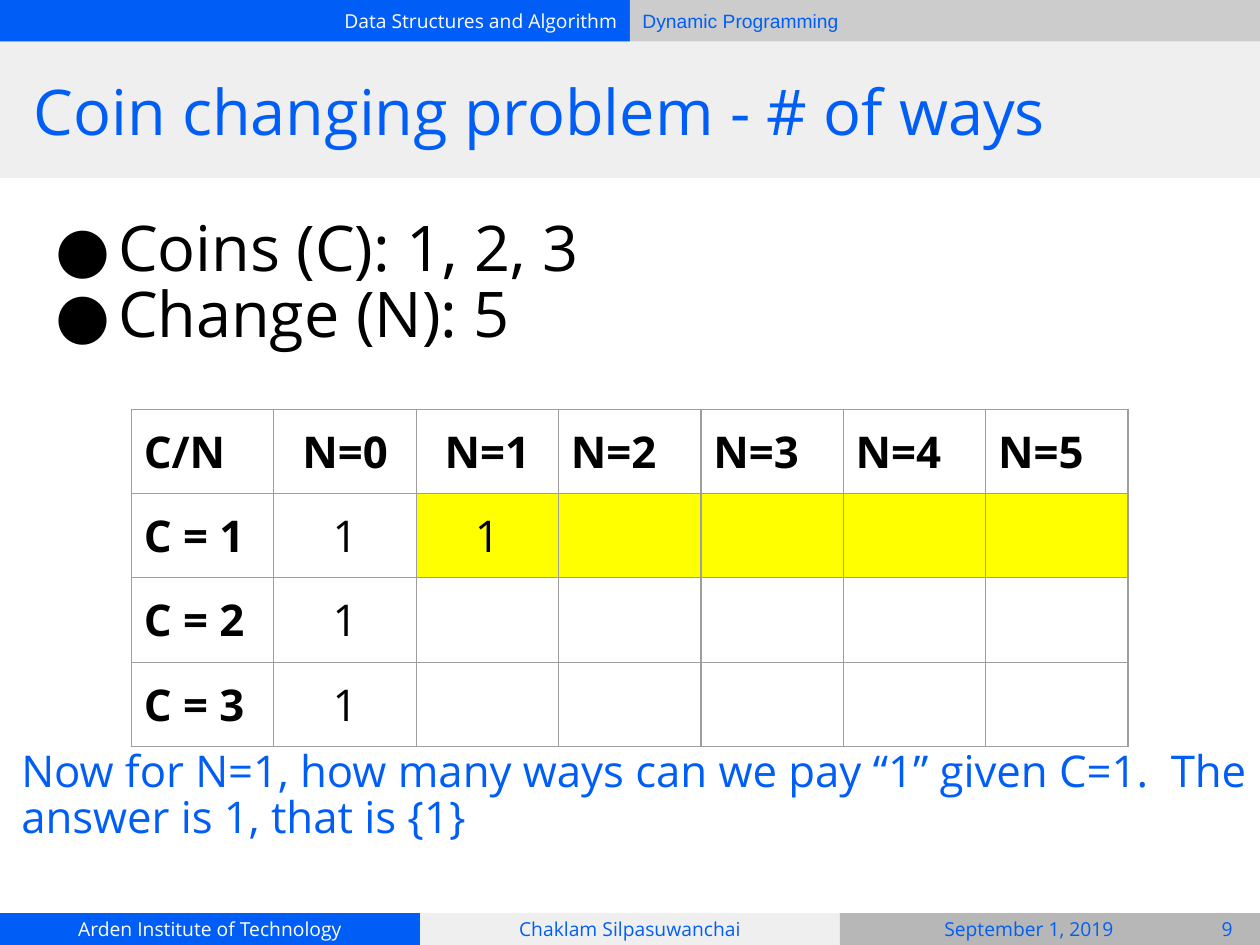
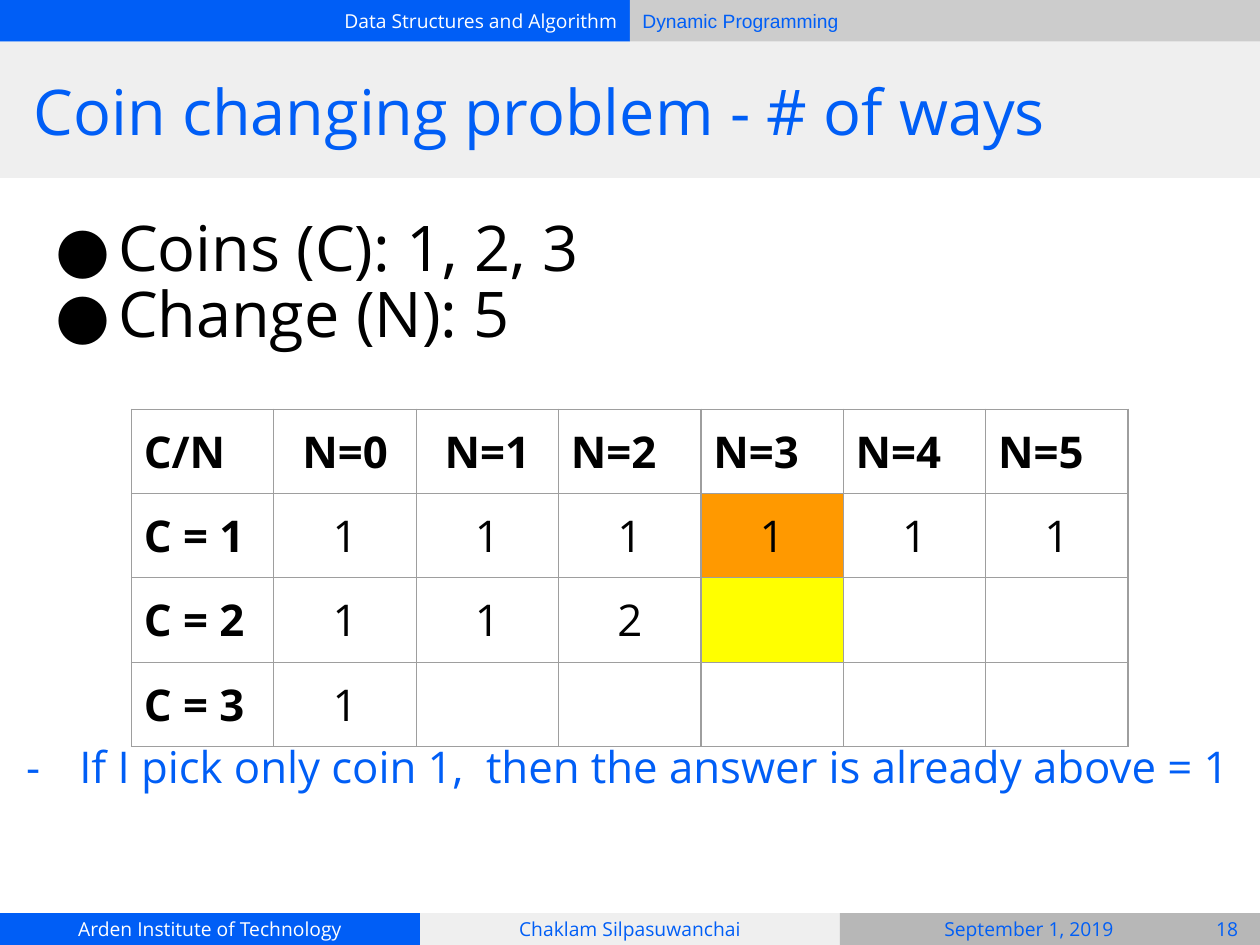
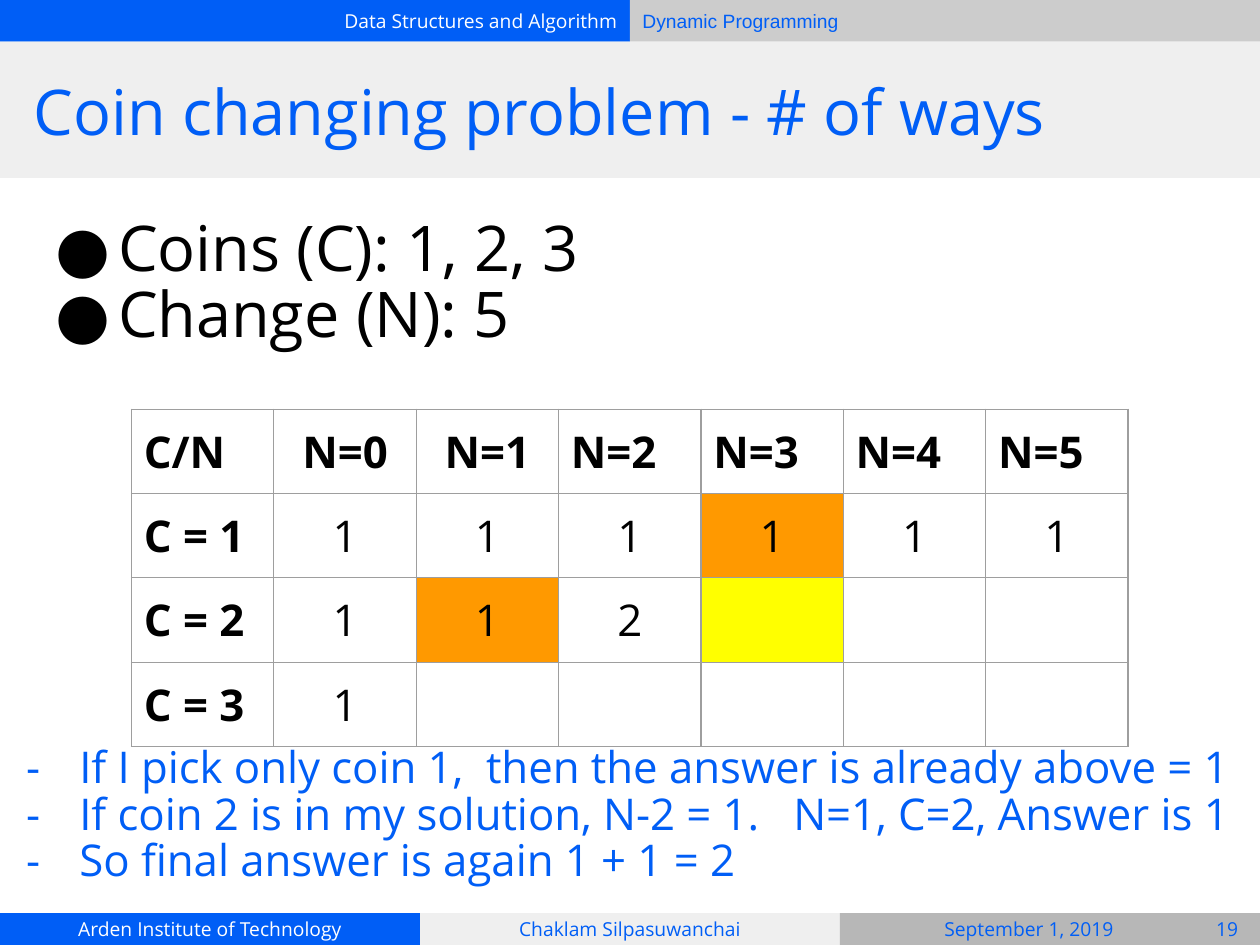
from lxml.etree import SubElement
from pptx import Presentation
from pptx.dml.color import RGBColor
from pptx.enum.shapes import MSO_SHAPE
from pptx.enum.text import MSO_ANCHOR, PP_ALIGN
from pptx.oxml.ns import qn
from pptx.util import Cm, Pt

WIDTH, HEIGHT = 25.4, 19.05
HALF, THIRD = WIDTH / 2, WIDTH / 3
HEADER_HEIGHT, TITLE_HEIGHT, FOOTER_HEIGHT = 0.84, 2.75, 0.64
FOOTER_TOP = HEIGHT - FOOTER_HEIGHT
INSET = 0.25

BLUE, WHITE, BLACK = "005EF6", "FFFFFF", "000000"
PALE_GREY, LIGHT_GREY, MID_GREY, BORDER_GREY = "EFEFEF", "CCCCCC", "B7B7B7", "9E9E9E"
YELLOW, ORANGE = "FFFF00", "FF9900"

LEFT, CENTER, RIGHT = PP_ALIGN.LEFT, PP_ALIGN.CENTER, PP_ALIGN.RIGHT
TOP, MIDDLE = MSO_ANCHOR.TOP, MSO_ANCHOR.MIDDLE

TITLE = "Coin changing problem - # of ways"
GIVENS = ["Coins (C): 1, 2, 3", "Change (N): 5"]
COINS, AMOUNTS = [1, 2, 3], range(6)
PICK_COIN_1 = "If I pick only coin 1,  then the answer is already above = 1"


def color(hex_string):
    return RGBColor.from_string(hex_string)


class Deck:
    font = "Open Sans"
    small, medium, large = 11, 25, 36

    def __init__(self):
        self.presentation = Presentation()
        self.presentation.slide_width = Cm(WIDTH)
        self.presentation.slide_height = Cm(HEIGHT)
        self.slide = None

    def add_slide(self, title, number):
        layout = self.presentation.slide_layouts[5]
        self.slide = self.presentation.slides.add_slide(layout)
        self.header()
        self.footer(number)
        self.title(title)

    def header(self):
        self.band(0, 0, HALF, HEADER_HEIGHT, BLUE,
                  "Data Structures and Algorithm", WHITE, RIGHT)
        self.band(HALF, 0, HALF, HEADER_HEIGHT, LIGHT_GREY,
                  "Dynamic Programming", BLUE, LEFT, "Arial")

    def footer(self, number):
        self.band(0, FOOTER_TOP, THIRD, FOOTER_HEIGHT, BLUE,
                  "Arden Institute of Technology", WHITE)
        self.band(THIRD, FOOTER_TOP, THIRD, FOOTER_HEIGHT, PALE_GREY,
                  "Chaklam Silpasuwanchai")
        self.band(2 * THIRD, FOOTER_TOP, THIRD, FOOTER_HEIGHT, MID_GREY)
        for left, width, text in ((17.15, 7.19, "September 1, 2019"),
                                  (24.08, 1.32, str(number))):
            self.text(left, FOOTER_TOP, width, FOOTER_HEIGHT, [text],
                      self.small, BLUE, CENTER, MIDDLE)

    def title(self, text):
        self.band(0, HEADER_HEIGHT, WIDTH, TITLE_HEIGHT, PALE_GREY)
        title = self.slide.shapes.title
        title.left, title.top = Cm(0.43), Cm(HEADER_HEIGHT)
        title.width, title.height = Cm(24.56), Cm(TITLE_HEIGHT)
        self.set_lines(title.text_frame, [text], self.large, BLUE, LEFT, MIDDLE)
        title.element.getparent().append(title.element)  # in front of its band

    def band(self, left, top, width, height, fill, text="", text_color=BLUE,
             align=CENTER, font=None):
        shape = self.slide.shapes.add_shape(
            MSO_SHAPE.RECTANGLE, Cm(left), Cm(top), Cm(width), Cm(height))
        shape.shadow.inherit = False
        shape.fill.solid()
        shape.fill.fore_color.rgb = color(fill)
        shape.line.fill.background()
        if text:
            self.set_lines(shape.text_frame, [text], self.small, text_color, align,
                           MIDDLE, font)

    def text(self, left, top, width, height, lines, size, text_color,
             align=LEFT, anchor=TOP):
        box = self.slide.shapes.add_textbox(Cm(left), Cm(top), Cm(width), Cm(height))
        self.set_lines(box.text_frame, lines, size, text_color, align, anchor)
        return box.text_frame

    def set_lines(self, frame, lines, size, text_color, align, anchor, font=None):
        frame.text = "\n".join(lines)
        frame.word_wrap = True
        frame.vertical_anchor = anchor
        frame.margin_left = frame.margin_right = Cm(INSET)
        frame.margin_top = frame.margin_bottom = Cm(INSET)
        for paragraph in frame.paragraphs:
            self.style_runs(paragraph, size, text_color, align, font=font)

    def style_runs(self, paragraph, size, text_color, align, bold=False, font=None):
        paragraph.alignment = align
        for run in paragraph.runs:
            run.font.name = font or self.font
            run.font.size = Pt(size)
            run.font.bold = bold
            run.font.color.rgb = color(text_color)

    def bullets(self, frame, character, bullet_color, hanging):
        for paragraph in frame.paragraphs:
            properties = paragraph._p.get_or_add_pPr()
            properties.set("marL", str(Cm(1.27)))
            properties.set("indent", str(-Cm(hanging)))
            fill = SubElement(properties, qn("a:buClr"))
            SubElement(fill, qn("a:srgbClr"), val=bullet_color)
            SubElement(properties, qn("a:buFont"), typeface=self.font)
            SubElement(properties, qn("a:buChar"), char=character)

    def givens(self):
        frame = self.text(0.86, 4.27, 23.67, 3.94, GIVENS, self.large, BLACK)
        frame.margin_top = frame.margin_bottom = Cm(0.13)
        self.bullets(frame, "●", BLACK, 1.27)
        frame.paragraphs[0].space_before = Pt(6)
        self.tighten(frame)

    def remark(self, text):
        frame = self.text(0.18, 14.88, 25.22, 3.94, [text], self.medium, BLUE)
        self.tighten(frame)

    def steps(self, lines, height):
        frame = self.text(0.08, 14.81, 25.22, height, lines, self.medium, BLUE)
        self.bullets(frame, "-", BLUE, 1.07)
        self.tighten(frame)

    def tighten(self, frame):
        for paragraph in frame.paragraphs:
            paragraph.line_spacing = 0.88

    def ways_table(self, ways, highlights):
        """ways holds the known counts per coin; highlights maps (row, column) to a fill."""
        rows = [["C/N"] + [f"N={amount}" for amount in AMOUNTS]]
        rows += [[f"C = {coin}", *counts] for coin, counts in zip(COINS, ways)]
        column_count = len(rows[0])
        column_width, row_height = 2.87, 1.7
        table = self.slide.shapes.add_table(
            len(rows), column_count, Cm(2.65), Cm(8.25),
            Cm(column_width * column_count), Cm(row_height * len(rows))).table
        table.first_row = table.horz_banding = False
        for column in table.columns:
            column.width = Cm(column_width)
        for row_index, row in enumerate(rows):
            table.rows[row_index].height = Cm(row_height)
            for column_index in range(column_count):
                value = row[column_index] if column_index < len(row) else ""
                is_label = row_index == 0 or column_index == 0
                centered = not is_label or (row_index == 0 and column_index in (1, 2))
                self.cell(table.cell(row_index, column_index), str(value), is_label,
                          CENTER if centered else LEFT,
                          highlights.get((row_index, column_index)))

    def cell(self, cell, text, bold, align, fill):
        cell.margin_left = cell.margin_right = Cm(INSET)
        cell.margin_top = cell.margin_bottom = Cm(INSET)
        cell.text_frame.text = text
        self.style_runs(cell.text_frame.paragraphs[0], self.medium, BLACK, align, bold)
        properties = cell._tc.get_or_add_tcPr()
        for side in ("lnL", "lnR", "lnT", "lnB"):
            line = SubElement(properties, qn(f"a:{side}"), w=str(Pt(0.75)))
            line_fill = SubElement(line, qn("a:solidFill"))
            SubElement(line_fill, qn("a:srgbClr"), val=BORDER_GREY)
        if fill:
            cell.fill.solid()
            cell.fill.fore_color.rgb = color(fill)
        else:
            cell.fill.background()


def main():
    deck = Deck()

    deck.add_slide(TITLE, 9)
    deck.givens()
    deck.ways_table([[1, 1], [1], [1]], {(1, column): YELLOW for column in range(2, 7)})
    deck.remark("Now for N=1, how many ways can we pay “1” given C=1.  "
                "The answer is 1, that is {1}")

    partial_ways = [[1] * 6, [1, 1, 2], [1]]
    without_coin_2 = {(1, 4): ORANGE, (2, 4): YELLOW}

    deck.add_slide(TITLE, 18)
    deck.givens()
    deck.ways_table(partial_ways, without_coin_2)
    deck.steps([PICK_COIN_1], 2.11)

    deck.add_slide(TITLE, 19)
    deck.givens()
    deck.ways_table(partial_ways, {**without_coin_2, (2, 2): ORANGE})
    deck.steps([PICK_COIN_1,
                "If coin 2 is in my solution, N-2 = 1.   N=1, C=2, Answer is 1",
                "So final answer is again 1 + 1 = 2"], 3.56)

    deck.presentation.save("out.pptx")


if __name__ == "__main__":
    main()
